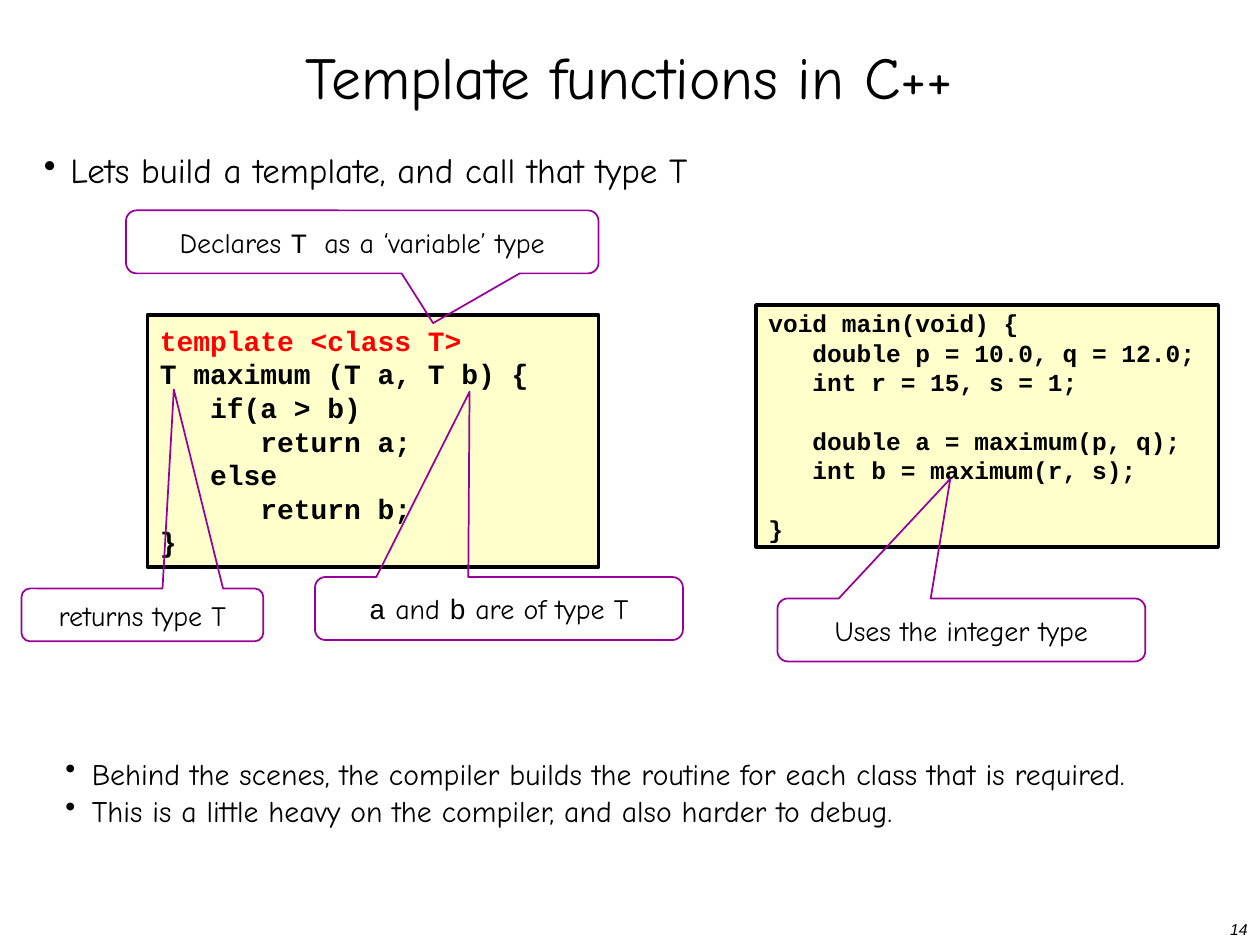
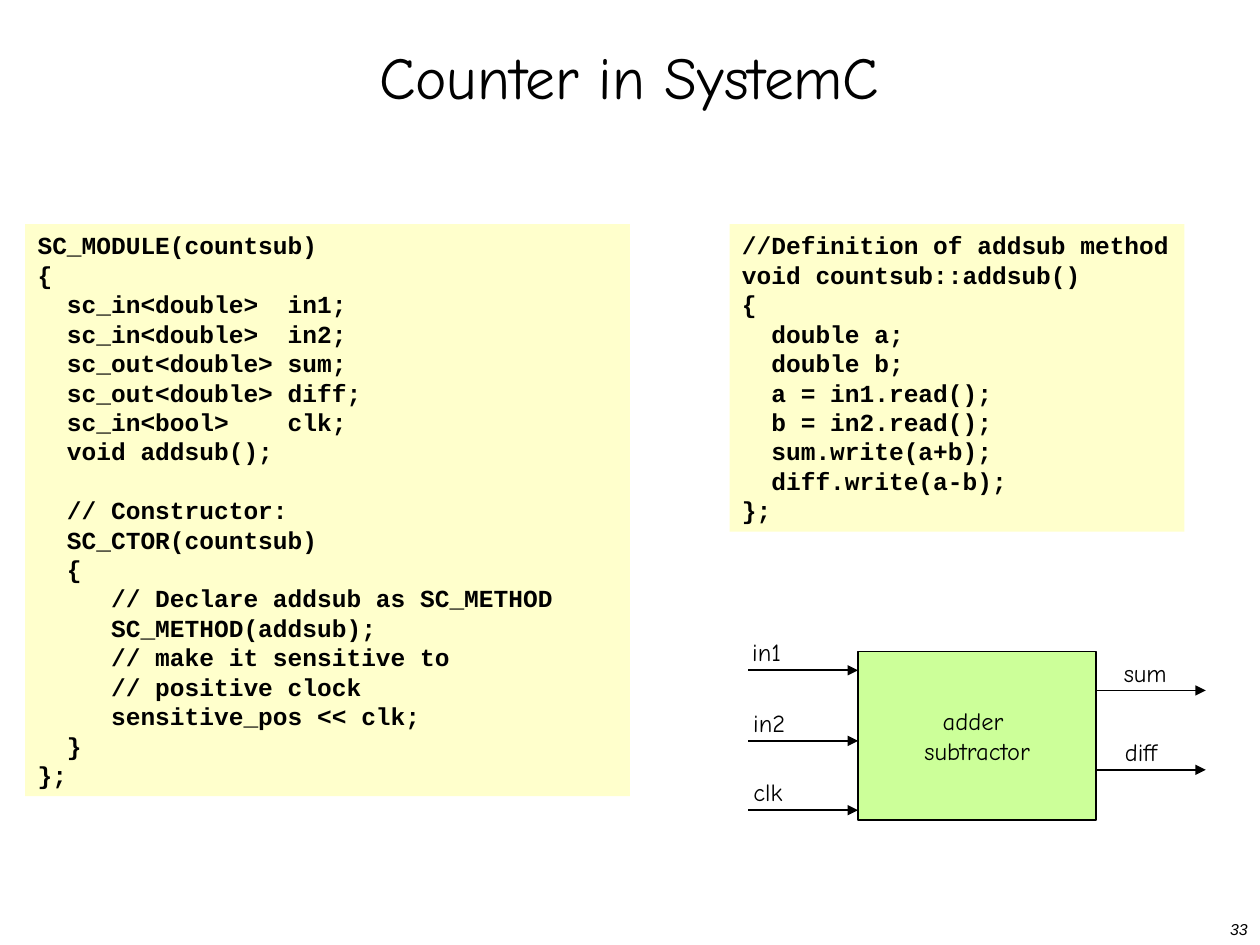
import pptx
import pptx.util
import pptx.dml.color
import pptx.enum.shapes
import pptx.enum.text
import pptx.oxml
import pptx.oxml.ns

Inches = pptx.util.Inches
Pt = pptx.util.Pt
SHAPE = pptx.enum.shapes.MSO_SHAPE
ALIGN = pptx.enum.text.PP_ALIGN
ANCHOR = pptx.enum.text.MSO_ANCHOR
qn = pptx.oxml.ns.qn

COLORS = {
    "ink": "000000",
    "code": "FFFFCC",
    "keyword": "FF0000",
    "callout": "990099",
    "module": "CCFF99",
}
RGB = {name: pptx.dml.color.RGBColor.from_string(value) for name, value in COLORS.items()}
SANS, MONO = "Comic Neue", "Courier New"
CODE_LINE_HEIGHT = 1.2


def write(frame, lines, size, font=SANS, align=ALIGN.LEFT, anchor=ANCHOR.TOP,
          bold=False, italic=False, spacing=None, bulleted=False, wrap=True):
    frame.word_wrap = wrap
    frame.auto_size = pptx.enum.text.MSO_AUTO_SIZE.NONE
    frame.vertical_anchor = anchor
    gap = 0
    paragraph = frame.paragraphs[0]
    for position, line in enumerate(lines):
        if not line:
            gap += size * CODE_LINE_HEIGHT
            continue
        if position:
            paragraph = frame.add_paragraph()
        paragraph.alignment = align
        paragraph.space_before = Pt(5 if bulleted else gap)
        gap = 0
        if spacing:
            paragraph.line_spacing = spacing
        if bulleted:
            properties = paragraph._p.get_or_add_pPr()
            properties.set("marL", str(Inches(0.21)))
            properties.set("indent", str(Inches(-0.21)))
            bullet = pptx.oxml.ns.qn("a:buChar")
            properties.append(properties.makeelement(bullet, {"char": "•"}))
        for text, run_font, color in ([(line, font, "ink")] if isinstance(line, str) else line):
            run = paragraph.add_run()
            run.text = text
            run.font.name = run_font
            run.font.size = Pt(size)
            run.font.bold = bold
            run.font.italic = italic
            run.font.color.rgb = RGB[color]


def add_box(slide, kind, place, fill=None, line=None, width=1):
    box = slide.shapes.add_shape(kind, *[Inches(value) for value in place])
    box.shadow.inherit = False
    if fill:
        box.fill.solid()
        box.fill.fore_color.rgb = RGB[fill]
    else:
        box.fill.background()
    if line:
        box.line.color.rgb = RGB[line]
        box.line.width = Pt(width)
    else:
        box.line.fill.background()
    return box


deck = pptx.Presentation()
deck.slide_width = Inches(10)
deck.slide_height = Inches(7.5)

slides = []
for heading, number in [("Template functions in C++", "14"), ("Counter in SystemC", "33")]:
    slide = deck.slides.add_slide(deck.slide_layouts[5])
    title = slide.shapes.title
    title.left, title.top = Inches(0.32), Inches(0.25)
    title.width, title.height = Inches(9.35), Inches(0.8)
    write(title.text_frame, [heading], 34, align=ALIGN.CENTER, anchor=ANCHOR.MIDDLE, spacing=0.8)
    page_number = slide.shapes.add_textbox(Inches(7.25), Inches(7.25), Inches(2.75), Inches(0.25))
    write(page_number.text_frame, [number], 9, font="Arial", align=ALIGN.RIGHT, italic=True)
    slides.append(slide)
templates, counter = slides

remarks = [
    (0.25, 1.17, 20, 0.9, ["Lets build a template, and call that type T"]),
    (0.42, 6, 17, 0.8, [
        "Behind the scenes, the compiler builds the routine for each class that is required.",
        "This is a little heavy on the compiler, and also harder to debug.",
    ]),
]
for left, top, size, spacing, lines in remarks:
    remark = templates.shapes.add_textbox(Inches(left), Inches(top), Inches(9.11), Inches(0.83))
    write(remark.text_frame, lines, size, spacing=spacing, bulleted=True)

maximum_code = [
    [("template <class T>", MONO, "keyword")],
    "T maximum (T a, T b) {",
    "   if(a > b)",
    "      return a;",
    "   else",
    "      return b;",
    "}",
]
main_code = """void main(void) {
   double p = 10.0, q = 12.0;
   int r = 15, s = 1;

   double a = maximum(p, q);
   int b = maximum(r, s);

}""".split("\n")
module_code = """SC_MODULE(countsub)
{
  sc_in<double>  in1;
  sc_in<double>  in2;
  sc_out<double> sum;
  sc_out<double> diff;
  sc_in<bool>    clk;
  void addsub();

  // Constructor:
  SC_CTOR(countsub)
  {
     // Declare addsub as SC_METHOD
     SC_METHOD(addsub);
     // make it sensitive to
     // positive clock
     sensitive_pos << clk;
  }
};""".split("\n")
method_code = """//Definition of addsub method
void countsub::addsub()
{
  double a;
  double b;
  a = in1.read();
  b = in2.read();
  sum.write(a+b);
  diff.write(a-b);
};""".split("\n")
listings = [
    (templates, (1.17, 2.5, 3.58, 2), maximum_code, 16, "ink", ANCHOR.MIDDLE),
    (templates, (6, 2.42, 3.67, 1.92), main_code, 14, "ink", ANCHOR.MIDDLE),
    (counter, (0.2, 1.78, 4.8, 4.54), module_code, 14, None, ANCHOR.TOP),
    (counter, (5.79, 1.78, 3.61, 2.44), method_code, 14, None, ANCHOR.TOP),
]
for slide, place, code, size, border, anchor in listings:
    listing = add_box(slide, SHAPE.RECTANGLE, place, "code", border, 2)
    write(listing.text_frame, code, size, font=MONO, anchor=anchor, bold=True)

callouts = [
    ((2.5, 4.58, 2.92, 0.5), (-0.08, -3.44),
     [("a", MONO, "ink"), (" and ", SANS, "ink"), ("b", MONO, "ink"), (" are of type T", SANS, "ink")]),
    ((0.17, 4.67, 1.92, 0.42), (0.13, -4.26), "returns type T"),
    ((1, 1.67, 3.75, 0.5), (0.15, 1.29),
     [("Declares ", SANS, "ink"), ("T ", MONO, "ink"), ("as a ‘variable’ type", SANS, "ink")]),
    ((6.17, 4.75, 2.92, 0.5), (-0.03, -2.4), "Uses the integer type"),
]
for place, (tip_x, tip_y), note in callouts:
    callout = add_box(templates, SHAPE.ROUNDED_RECTANGULAR_CALLOUT, place, line="callout")
    callout.adjustments[0] = tip_x
    callout.adjustments[1] = tip_y
    write(callout.text_frame, [note], 16, align=ALIGN.CENTER, anchor=ANCHOR.MIDDLE)

module = add_box(counter, SHAPE.RECTANGLE, (6.81, 5.17, 1.89, 1.34), "module", "ink")
write(module.text_frame, ["adder ", "subtractor"], 14, align=ALIGN.CENTER, anchor=ANCHOR.MIDDLE)

ports = [
    ("in1", 5.94, 5.32, 5.87, 0.43),
    ("in2", 5.94, 5.88, 5.88, 0.45),
    ("clk", 5.94, 6.43, 5.88, 0.43),
    ("sum", 8.7, 5.48, 8.82, 0.54),
    ("diff", 8.7, 6.11, 8.83, 0.45),
]
for port, start, level, label_left, label_width in ports:
    wire = counter.shapes.add_connector(
        pptx.enum.shapes.MSO_CONNECTOR.STRAIGHT,
        Inches(start), Inches(level), Inches(start + 0.87), Inches(level))
    wire.line.color.rgb = RGB["ink"]
    wire.line.width = Pt(1)
    outline = wire.line._get_or_add_ln()
    outline.append(outline.makeelement(qn("a:tailEnd"), {"type": "triangle"}))
    properties = wire._element.spPr
    properties.append(properties.makeelement(qn("a:effectLst"), {}))
    label = counter.shapes.add_textbox(
        Inches(label_left), Inches(level - 0.31), Inches(label_width), Inches(0.34))
    write(label.text_frame, [port], 14, align=ALIGN.CENTER, wrap=False)

deck.save("out.pptx")
